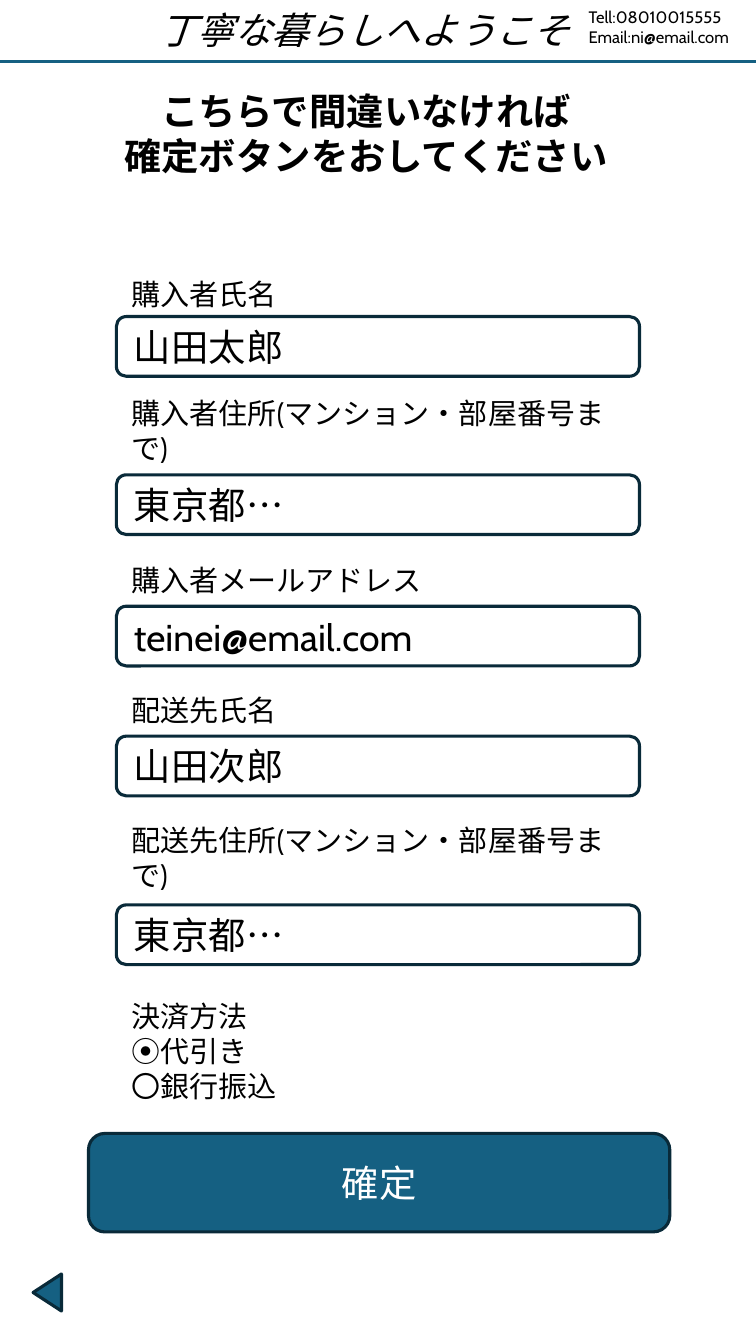
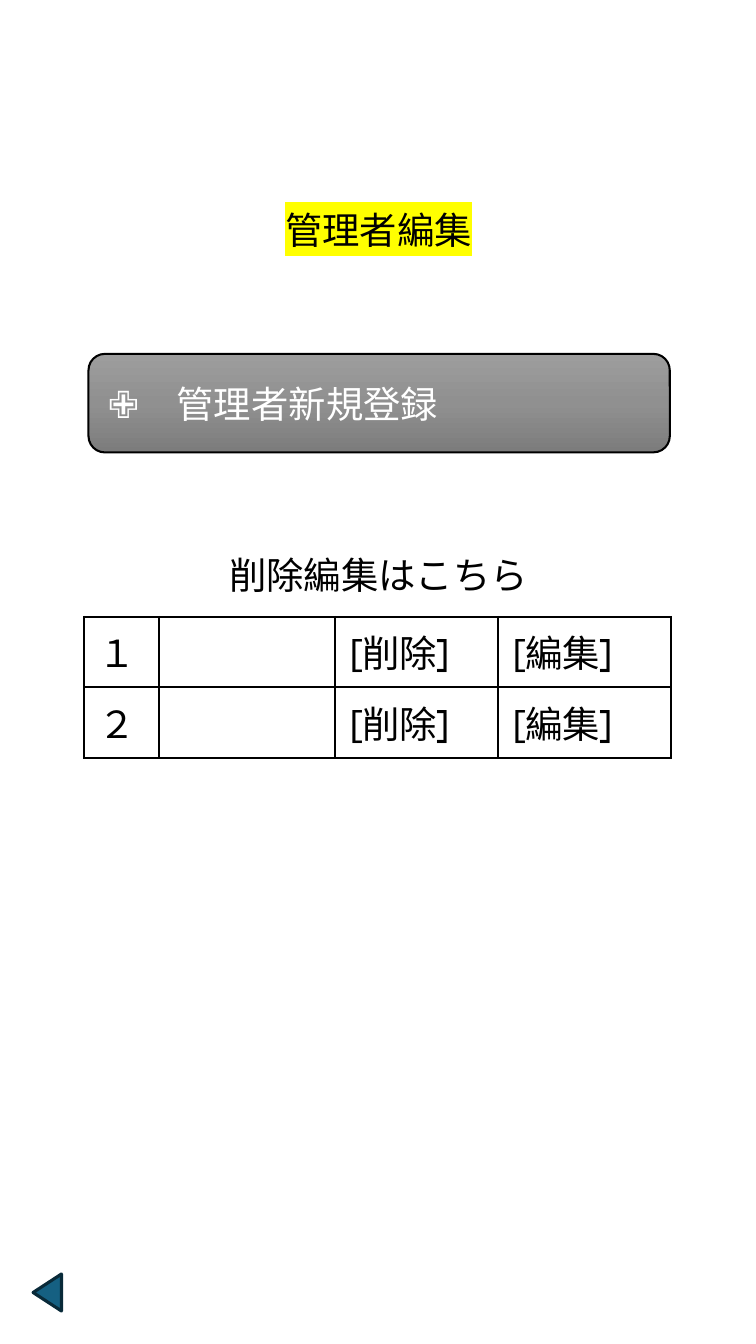
import copy
import dataclasses

import lxml.etree
import pptx
import pptx.dml.color
import pptx.enum.shapes
import pptx.enum.text
import pptx.oxml.ns
import pptx.util

RGBColor = pptx.dml.color.RGBColor
ALIGN = pptx.enum.text.PP_ALIGN
ANCHOR = pptx.enum.text.MSO_ANCHOR
SHAPE = pptx.enum.shapes.MSO_SHAPE
qn = pptx.oxml.ns.qn

BLACK = RGBColor(0x00, 0x00, 0x00)
WHITE = RGBColor(0xFF, 0xFF, 0xFF)
TEAL = RGBColor(0x15, 0x60, 0x82)
NAVY = RGBColor(0x09, 0x2A, 0x39)
YELLOW = RGBColor(0xFF, 0xFF, 0x00)
GREY_STOPS = [
    (0, RGBColor(0x9D, 0x9D, 0x9D)),
    (0.5, RGBColor(0x90, 0x90, 0x90)),
    (1, RGBColor(0x7C, 0x7C, 0x7C)),
]
FONT = "Cabin"

SLIDE_WIDTH = pptx.util.Inches(5.06)
SLIDE_HEIGHT = pptx.util.Inches(9)
COLUMN = SLIDE_WIDTH / 100
ROW = SLIDE_HEIGHT / 180


@dataclasses.dataclass
class Box:
    column: float
    row: float
    columns: float
    rows: float

    def area(self, column, row, columns, rows):
        return Box(self.column + column, self.row + row, columns, rows)

    def frame(self):
        return (round(self.column * COLUMN), round(self.row * ROW),
                round(self.columns * COLUMN), round(self.rows * ROW))


PAGE = Box(0, 0, 100, 180)
HEADER = PAGE.area(0, 0, 100, 8.2)
BACK = PAGE.area(3.8, 171.2, 4.9, 3.8)
FORM_COLUMN, FORM_WIDTH = 15.4, 69.2
BUTTON_COLUMN, BUTTON_WIDTH, BUTTON_ROWS = 11.7, 76.9, 13.2
INPUT_ROWS = 8

FIELDS = [
    (36, 14.4, "購入者氏名", "山田太郎"),
    (52, 19.6, "購入者住所(マンション・部屋番号まで)", "東京都…"),
    (74.4, 14.8, "購入者メールアドレス", "teinei@email.com"),
    (91.8, 14.8, "配送先氏名", "山田次郎"),
    (109.2, 20, "配送先住所(マンション・部屋番号まで)", "東京都…"),
]
ADMIN_ROWS = [
    ["１", "", "[削除]", "[編集]"],
    ["２", "", "[削除]", "[編集]"],
]
ADMIN_COLUMN_WEIGHTS = [50, 118, 109, 116]


def write(text_frame, text, size=18, color=BLACK, align=ALIGN.LEFT,
          bold=False, italic=False):
    text_frame.text = text
    for paragraph in text_frame.paragraphs:
        paragraph.alignment = align
        font = paragraph.font
        font.name, font.size = FONT, pptx.util.Pt(size)
        font.bold, font.italic = bold, italic
        font.color.rgb = color


def add_text(shapes, box, text, **style):
    text_frame = shapes.add_textbox(*box.frame()).text_frame
    text_frame.word_wrap = True
    write(text_frame, text, **style)


def add_shape(shapes, kind, box, fill, line, line_width=1.5):
    shape = shapes.add_shape(kind, *box.frame())
    shape.shadow.inherit = False
    shape.fill.solid()
    shape.fill.fore_color.rgb = fill
    shape.line.color.rgb = line
    shape.line.width = pptx.util.Pt(line_width)
    return shape


def add_rounded(shapes, box, text, fill, line, line_width=1.5, **style):
    shape = add_shape(shapes, SHAPE.ROUNDED_RECTANGLE, box, fill, line, line_width)
    shape.text_frame.vertical_anchor = ANCHOR.MIDDLE
    write(shape.text_frame, text, **style)
    return shape


def place_title(slide, box, text, bold=False):
    title = slide.shapes.title
    title.left, title.top, title.width, title.height = box.frame()
    title.text_frame.vertical_anchor = ANCHOR.TOP
    title.text_frame.auto_size = pptx.enum.text.MSO_AUTO_SIZE.NONE
    write(title.text_frame, text, align=ALIGN.CENTER, bold=bold)
    return title


def highlight(title, color):
    for run in title.text_frame.paragraphs[0].runs:
        mark = lxml.etree.SubElement(run._r.get_or_add_rPr(), qn("a:highlight"))
        lxml.etree.SubElement(mark, qn("a:srgbClr"), val=str(color))


def add_back_button(slide, box):
    triangle = add_shape(slide.shapes, SHAPE.ISOSCELES_TRIANGLE, box, TEAL, NAVY)
    triangle.rotation = 270


def add_header(slide, box):
    add_text(slide.shapes, box.area(9.1, 0, 78.3, 8), "丁寧な暮らしへようこそ",
             align=ALIGN.CENTER, italic=True)
    left, top, width, height = box.frame()
    rule = slide.shapes.add_connector(
        pptx.enum.shapes.MSO_CONNECTOR.STRAIGHT,
        left, top + height, left + width, top + height)
    rule.line.color.rgb = TEAL
    rule.line.width = pptx.util.Pt(1.5)
    lxml.etree.SubElement(rule._element.spPr, qn("a:effectLst"))
    add_text(slide.shapes, box.area(75.9, 0, 24.1, 7.4),
             "Tell:08010015555\nEmail:ni@email.com", size=8)


def add_field(slide, box, label, value):
    shapes = slide.shapes.add_group_shape().shapes
    label_rows = box.rows - INPUT_ROWS
    add_rounded(shapes, box.area(0, label_rows, box.columns, INPUT_ROWS), value,
                WHITE, NAVY, align=ALIGN.JUSTIFY)
    add_text(shapes, box.area(0, 0, box.columns, label_rows), label, size=14)


def add_register_button(slide, box):
    button = add_rounded(slide.shapes, box, "✙　管理者新規登録",
                         WHITE, BLACK, line_width=1, color=WHITE)
    button.fill.gradient()
    button.fill.gradient_angle = 270
    stop_list = button._element.spPr.find(qn("a:gradFill")).find(qn("a:gsLst"))
    stop_list.insert(1, copy.deepcopy(stop_list[0]))
    for stop, (position, color) in zip(button.fill.gradient_stops, GREY_STOPS):
        stop.position = position
        stop.color.rgb = color


def add_borders(cell, color, width):
    properties = cell._tc.get_or_add_tcPr()
    for index, side in enumerate(["a:lnL", "a:lnR", "a:lnT", "a:lnB"]):
        line = lxml.etree.Element(qn(side), w=str(pptx.util.Pt(width)))
        fill = lxml.etree.SubElement(line, qn("a:solidFill"))
        lxml.etree.SubElement(fill, qn("a:srgbClr"), val=str(color))
        properties.insert(index, line)


def add_admin_table(slide, box):
    frame = box.frame()
    table = slide.shapes.add_table(
        len(ADMIN_ROWS), len(ADMIN_COLUMN_WEIGHTS), *frame).table
    table.first_row = table.horz_banding = False
    for column, weight in zip(table.columns, ADMIN_COLUMN_WEIGHTS):
        column.width = round(frame[2] * weight / sum(ADMIN_COLUMN_WEIGHTS))
    for row, texts in zip(table.rows, ADMIN_ROWS):
        for cell, text in zip(row.cells, texts):
            cell.fill.background()
            write(cell.text_frame, text)
            add_borders(cell, BLACK, 1)


def build_confirmation(slide):
    place_title(slide, PAGE.area(13.8, 10.8, 69.2, 14.2),
                "こちらで間違いなければ\n確定ボタンをおしてください", bold=True)
    for row, rows, label, value in FIELDS:
        add_field(slide, PAGE.area(FORM_COLUMN, row, FORM_WIDTH, rows), label, value)
    add_text(slide.shapes, PAGE.area(FORM_COLUMN, 132.8, FORM_WIDTH, 16.2),
             "決済方法\n⦿代引き\n〇銀行振込", size=14)
    add_rounded(slide.shapes, PAGE.area(BUTTON_COLUMN, 151.8, BUTTON_WIDTH, BUTTON_ROWS),
                "確定", TEAL, NAVY, color=WHITE, align=ALIGN.CENTER)
    add_back_button(slide, BACK)
    add_header(slide, HEADER)


def build_administrators(slide):
    title = place_title(slide, PAGE.area(14.2, 26.8, 71.7, 8), "管理者編集")
    highlight(title, YELLOW)
    add_register_button(slide, PAGE.area(BUTTON_COLUMN, 47.4, BUTTON_WIDTH, BUTTON_ROWS))
    add_admin_table(slide, PAGE.area(11.1, 82.6, 77.7, 18.9))
    add_back_button(slide, BACK)
    add_text(slide.shapes, PAGE.area(14.2, 73, 71.7, 8), "削除編集はこちら",
             align=ALIGN.CENTER)


def main():
    presentation = pptx.Presentation()
    presentation.slide_width = SLIDE_WIDTH
    presentation.slide_height = SLIDE_HEIGHT
    title_only = presentation.slide_layouts[5]
    for build in (build_confirmation, build_administrators):
        build(presentation.slides.add_slide(title_only))
    presentation.save("out.pptx")


if __name__ == "__main__":
    main()
